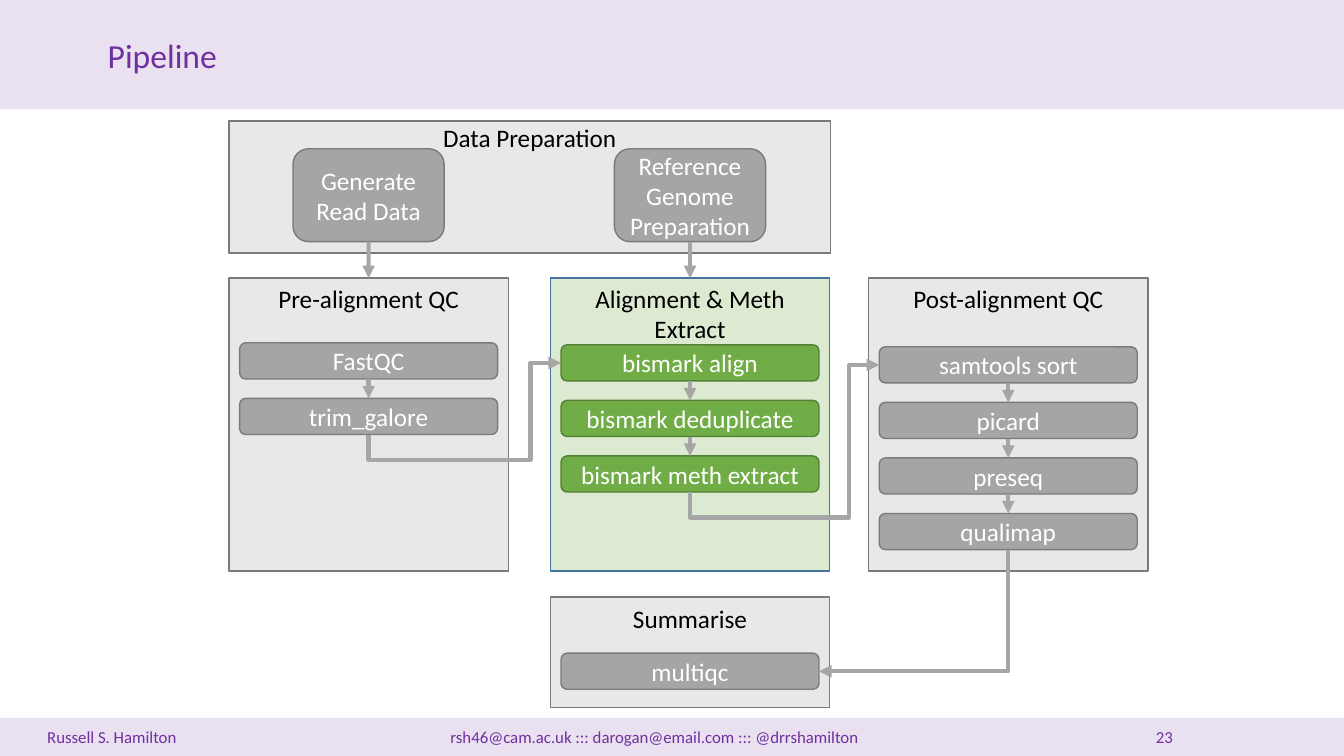
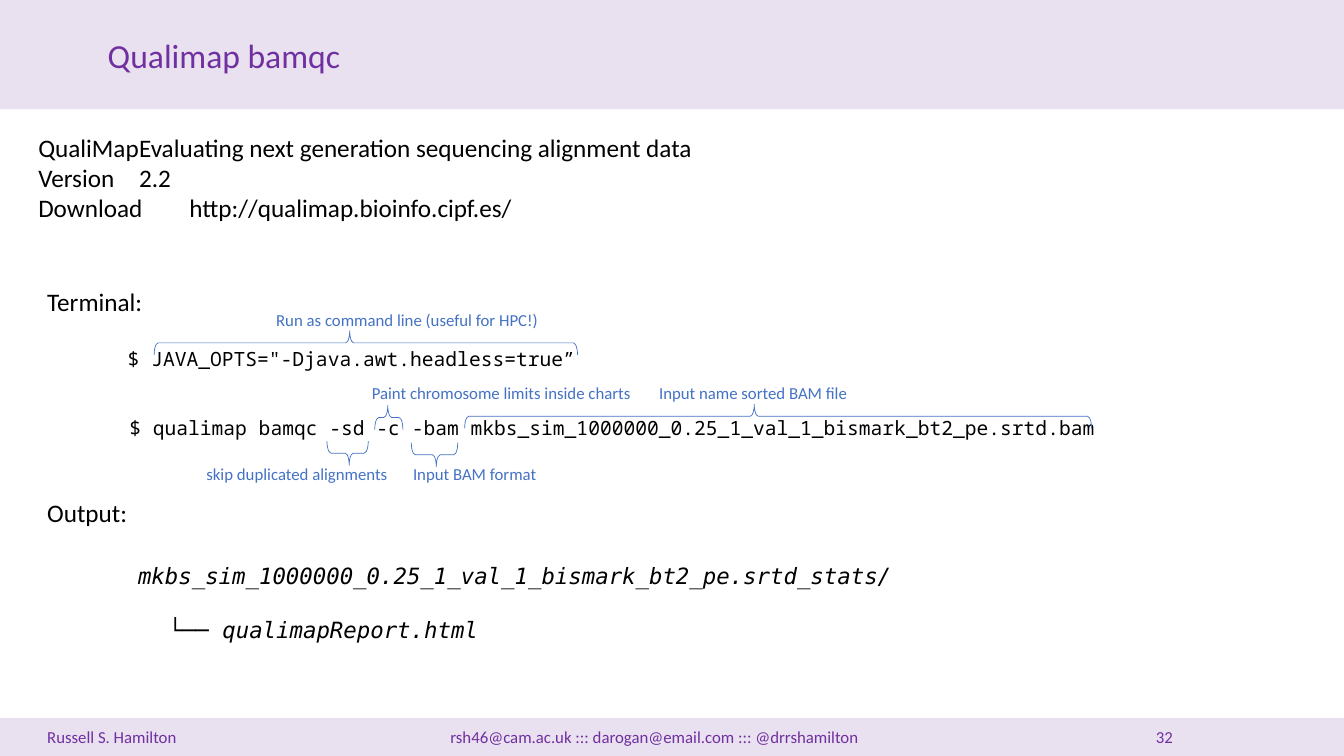
import lxml.etree
import pptx
import pptx.dml.color
import pptx.enum.shapes
import pptx.enum.text
import pptx.oxml.ns
import pptx.util

Cm = pptx.util.Cm
Pt = pptx.util.Pt
qn = pptx.oxml.ns.qn
SHAPE = pptx.enum.shapes.MSO_SHAPE
CONNECTOR = pptx.enum.shapes.MSO_CONNECTOR
ANCHOR = pptx.enum.text.MSO_ANCHOR
ALIGN = pptx.enum.text.PP_ALIGN

COLOURS = {
    "purple": "7030A0", "grey": "A5A5A5", "grey line": "7A7A7A",
    "green": "70AD47", "green line": "538035", "panel line": "43739E",
    "arrow": "A6A6A6", "note": "4472C4", "black": "000000", "white": "FFFFFF",
}
FONT, CODE_FONT, TREE_FONT = "Calibri", "Noto Sans Mono", "DejaVu Sans Mono"
PAGE_WIDTH, PAGE_HEIGHT = 33.87, 19.05
FOOTER = "Russell S. Hamilton\trsh46@cam.ac.uk ::: darogan@email.com ::: @drrshamilton\t"

# Pipeline grid, in cm
COLUMNS = {"pre": 5.77, "align": 13.87, "post": 21.89}
COLUMN_TOP, COLUMN_WIDTH, COLUMN_HEIGHT = 7.01, 7.04, 7.38
STEP_WIDTH, STEP_HEIGHT, STEP_PITCH = 6.5, 0.91, 1.4
SOURCE_WIDTH, SOURCE_HEIGHT = 3.81, 2.34
ELBOW_DROP, ELBOW_GAP = Cm(0.64), Cm(0.77)


# Shared helpers
def colour(name):
    return pptx.dml.color.RGBColor.from_string(COLOURS[name])


def add_span(para, text, size, ink="black", font=FONT, italic=False):
    span = para.add_run()
    span.text = text
    span.font.size = Pt(size)
    span.font.name = font
    span.font.italic = italic
    span.font.color.rgb = colour(ink)


def set_tabs(para, *stops):
    tabs = lxml.etree.SubElement(para._p.get_or_add_pPr(), qn("a:tabLst"))
    for stop in stops:
        lxml.etree.SubElement(tabs, qn("a:tab"), pos=str(Cm(stop)), algn="l")


def add_box(page, left, top, width, height, wrap=False):
    box = page.shapes.add_textbox(Cm(left), Cm(top), Cm(width), Cm(height))
    box.text_frame.word_wrap = wrap
    return box.text_frame


def add_shape(page, kind, place, fill=None, line=None, alpha=None, width=1):
    shape = page.shapes.add_shape(kind, *(Cm(length) for length in place))
    shape.shadow.inherit = False
    if fill:
        shape.fill.solid()
        shape.fill.fore_color.rgb = colour(fill)
    else:
        shape.fill.background()
    if alpha:
        tint = shape.element.spPr.find(".//" + qn("a:srgbClr"))
        lxml.etree.SubElement(tint, qn("a:alpha"), val=str(alpha * 1000))
    if line:
        shape.line.color.rgb = colour(line)
        shape.line.width = Pt(width)
    else:
        shape.line.fill.background()
    return shape


def add_page(deck, layout, title, number):
    page = deck.slides.add_slide(deck.slide_layouts[layout])
    # Bands, with the title brought in front of them
    for top, height in ((0, 2.75), (18.09, 0.96)):
        add_shape(page, SHAPE.RECTANGLE, (0, top, PAGE_WIDTH, height), "purple", alpha=15)
    heading = page.shapes.title
    page.shapes.element.append(heading.element)
    heading.left, heading.top, heading.width, heading.height = Cm(2.46), Cm(0.74), Cm(20), Cm(1.27)
    frame = heading.text_frame
    frame.auto_size = pptx.enum.text.MSO_AUTO_SIZE.NONE
    frame.vertical_anchor = ANCHOR.TOP
    frame.paragraphs[0].alignment = ALIGN.LEFT
    add_span(frame.paragraphs[0], title, 24, "purple")
    # Footer
    para = add_box(page, 0.94, 18.2, 31.4, 0.77, wrap=True).paragraphs[0]
    set_tabs(para, 10.16, 27.94)
    add_span(para, FOOTER + str(number), 12, "purple")
    return page


# Pipeline parts
def add_node(page, place, text, hue="grey"):
    node = add_shape(page, SHAPE.ROUNDED_RECTANGLE, place, hue, hue + " line")
    node.text_frame.vertical_anchor = ANCHOR.MIDDLE
    para = node.text_frame.paragraphs[0]
    para.alignment = ALIGN.CENTER
    add_span(para, text, 18, "white")
    return node


def add_panel(page, place, title, title_top=0, hue="grey", line="grey line"):
    left, top, width, height = place
    panel = add_shape(page, SHAPE.RECTANGLE, place, hue, line, alpha=25)
    para = add_box(page, left, top + title_top, width, 1.03).paragraphs[0]
    para.alignment = ALIGN.CENTER
    add_span(para, title, 18)
    return panel


def add_steps(page, place, first, names, hue="grey"):
    left, top, width, height = place
    step_left = left + (width - STEP_WIDTH) / 2
    steps = []
    for index, name in enumerate(names):
        step_top = top + first + index * STEP_PITCH
        steps.append(add_node(page, (step_left, step_top, STEP_WIDTH, STEP_HEIGHT), name, hue))
    return steps


def add_arrow(page, source, target, side=0, kind=CONNECTOR.STRAIGHT):
    arrow = page.shapes.add_connector(kind, 0, 0, 0, 0)
    arrow.begin_connect(source, 2)
    arrow.end_connect(target, side)
    arrow.line.color.rgb = colour("arrow")
    arrow.line.width = Pt(3)
    outline = arrow.element.spPr.find(qn("a:ln"))
    lxml.etree.SubElement(outline, qn("a:tailEnd"), type="triangle")
    lxml.etree.SubElement(arrow.element.spPr, qn("a:effectLst"))
    return arrow


def add_elbow(page, source, target, side):
    """Leave the source downwards and enter the target's left (1) or right (3) side."""
    arrow = add_arrow(page, source, target, side, CONNECTOR.ELBOW)
    across = abs(arrow.end_x - arrow.begin_x)
    down = abs(arrow.end_y - arrow.begin_y)
    middle_x = (arrow.begin_x + arrow.end_x) // 2
    middle_y = (arrow.begin_y + arrow.end_y) // 2
    if side == 1:
        preset, turn = "bentConnector4", 270
        bends = {"adj1": -ELBOW_DROP / down, "adj2": 1 - ELBOW_GAP / across}
    else:
        preset, turn, bends = "bentConnector2", 90, {}
    # The frame is turned a quarter, so its width is the drop
    arrow.left, arrow.top = middle_x - down // 2, middle_y - across // 2
    arrow.width, arrow.height = down, across
    frame = arrow.element.spPr.find(qn("a:xfrm"))
    for flip in ("flipH", "flipV"):
        frame.attrib.pop(flip, None)
    frame.set("rot", str(turn * 60000))
    geometry = arrow.element.spPr.find(qn("a:prstGeom"))
    geometry.set("prst", preset)
    for name, share in bends.items():
        lxml.etree.SubElement(geometry.find(qn("a:avLst")), qn("a:gd"),
                              name=name, fmla=f"val {round(share * 100000)}")


def build_pipeline(deck):
    page = add_page(deck, 5, "Pipeline", 23)
    columns = {key: (left, COLUMN_TOP, COLUMN_WIDTH, COLUMN_HEIGHT)
               for key, left in COLUMNS.items()}
    summary = (COLUMNS["align"], 15.04, COLUMN_WIDTH, 2.79)
    # Panels
    add_panel(page, (COLUMNS["pre"], 3.05, 15.16, 3.33), "Data Preparation", -0.08)
    add_panel(page, summary, "Summarise", 0.05)
    add_panel(page, columns["post"], "Post-alignment QC")
    align_panel = add_panel(page, columns["align"], "Alignment & Meth Extract",
                            hue="green", line="panel line")
    pre_panel = add_panel(page, columns["pre"], "Pre-alignment QC")
    # Steps
    pre = add_steps(page, columns["pre"], 1.63, ["FastQC", "trim_galore"])
    align = add_steps(page, columns["align"], 1.68,
                      ["bismark align", "bismark deduplicate", "bismark meth extract"], "green")
    post = add_steps(page, columns["post"], 1.73,
                     ["samtools sort", "picard", "preseq", "qualimap"])
    multiqc, = add_steps(page, summary, 1.42, ["multiqc"])
    # Arrows
    for steps in (pre, align, post):
        for source, target in zip(steps, steps[1:]):
            add_arrow(page, source, target)
    add_elbow(page, pre[-1], align[0], 1)
    add_elbow(page, align[-1], post[0], 1)
    add_elbow(page, post[-1], multiqc, 3)
    # Data sources, each centred over the column it feeds
    for key, text, panel in (("pre", "Generate Read Data", pre_panel),
                             ("align", "Reference Genome Preparation", align_panel)):
        left = COLUMNS[key] + (COLUMN_WIDTH - SOURCE_WIDTH) / 2
        source = add_node(page, (left, 3.75, SOURCE_WIDTH, SOURCE_HEIGHT), text)
        add_arrow(page, source, panel)


# Qualimap parts
def add_facts(page, left, top, width, height):
    body = page.placeholders[1]
    body.left, body.top, body.width, body.height = Cm(left), Cm(top), Cm(width), Cm(height)
    frame = body.text_frame
    frame.auto_size = pptx.enum.text.MSO_AUTO_SIZE.NONE
    facts = [
        ("QualiMap\tEvaluating next generation sequencing alignment data", 2.54),
        ("Version\t2.2", 5.08),
        ("Download\thttp://qualimap.bioinfo.cipf.es/", 5.08),
    ]
    for index, (text, stop) in enumerate(facts):
        para = frame.add_paragraph() if index else frame.paragraphs[0]
        settings = para._p.get_or_add_pPr()
        settings.set("marL", "0")
        settings.set("indent", "0")
        lxml.etree.SubElement(settings, qn("a:buNone"))
        set_tabs(para, stop)
        para.space_before = Pt(0)
        add_span(para, text, 18)


def add_session(page, left, top, width, height):
    frame = add_box(page, left, top, width, height, wrap=True)
    # Text, size, font, indent in cm, space before in points
    lines = [
        ("Terminal:", 18, FONT, 0, 0),
        ("$ JAVA_OPTS=\"-Djava.awt.headless=true”", 14, CODE_FONT, 2.03, 21.5),
        ("$ qualimap bamqc -sd -c -bam mkbs_sim_1000000_0.25_1_val_1_bismark_bt2_pe.srtd.bam",
         14, CODE_FONT, 2.07, 32.5),
        ("Output:", 18, FONT, 0, 41.5),
        ("mkbs_sim_1000000_0.25_1_val_1_bismark_bt2_pe.srtd_stats/", 16, TREE_FONT, 2.29, 24.5),
        ("└── qualimapReport.html", 16, TREE_FONT, 3.06, 19.5),
    ]
    for index, (text, size, font, indent, gap) in enumerate(lines):
        para = frame.add_paragraph() if index else frame.paragraphs[0]
        para._p.get_or_add_pPr().set("marL", str(Cm(indent)))
        para.space_before = Pt(gap)
        add_span(para, text, size, font=font, italic=font == TREE_FONT)


def add_note(page, text, left, top, width, brace):
    add_span(add_box(page, left, top, width, 0.77).paragraphs[0], text, 12, "note")
    middle_x, middle_y, length, turn = brace
    thickness = 0.61
    mark = add_shape(page, SHAPE.RIGHT_BRACE,
                     (middle_x - thickness / 2, middle_y - length / 2, thickness, length),
                     line="note", width=0.5)
    mark.rotation = turn
    mark.adjustments[0], mark.adjustments[1] = 0.165, 0.462


def build_qualimap(deck):
    page = add_page(deck, 1, "Qualimap bamqc", 32)
    add_facts(page, 0.71, 3.2, 19.61, 2.57)
    add_session(page, 0.94, 7.09, 28, 9.5)
    # Notes: text, left, top, width, brace (middle x, middle y, length, rotation)
    notes = [
        ("Run as command line (useful for HPC!)", 6.71, 7.67, 7.39, (9.22, 8.64, 10.67, 270)),
        ("Input name sorted BAM file", 16.36, 9.53, 5.31, (19.61, 10.49, 15.8, 270)),
        ("Paint chromosome limits inside charts", 9.12, 9.53, 7.11, (9.8, 10.52, 0.71, 270)),
        ("skip duplicated alignments", 4.95, 11.56, 5.23, (8.76, 11.42, 1.04, 90)),
        ("Input BAM format", 10.16, 11.56, 3.66, (10.95, 11.46, 1.17, 90)),
    ]
    for note in notes:
        add_note(page, *note)


def main():
    deck = pptx.Presentation()
    deck.slide_width, deck.slide_height = Cm(PAGE_WIDTH), Cm(PAGE_HEIGHT)
    build_pipeline(deck)
    build_qualimap(deck)
    deck.save("out.pptx")


if __name__ == "__main__":
    main()
